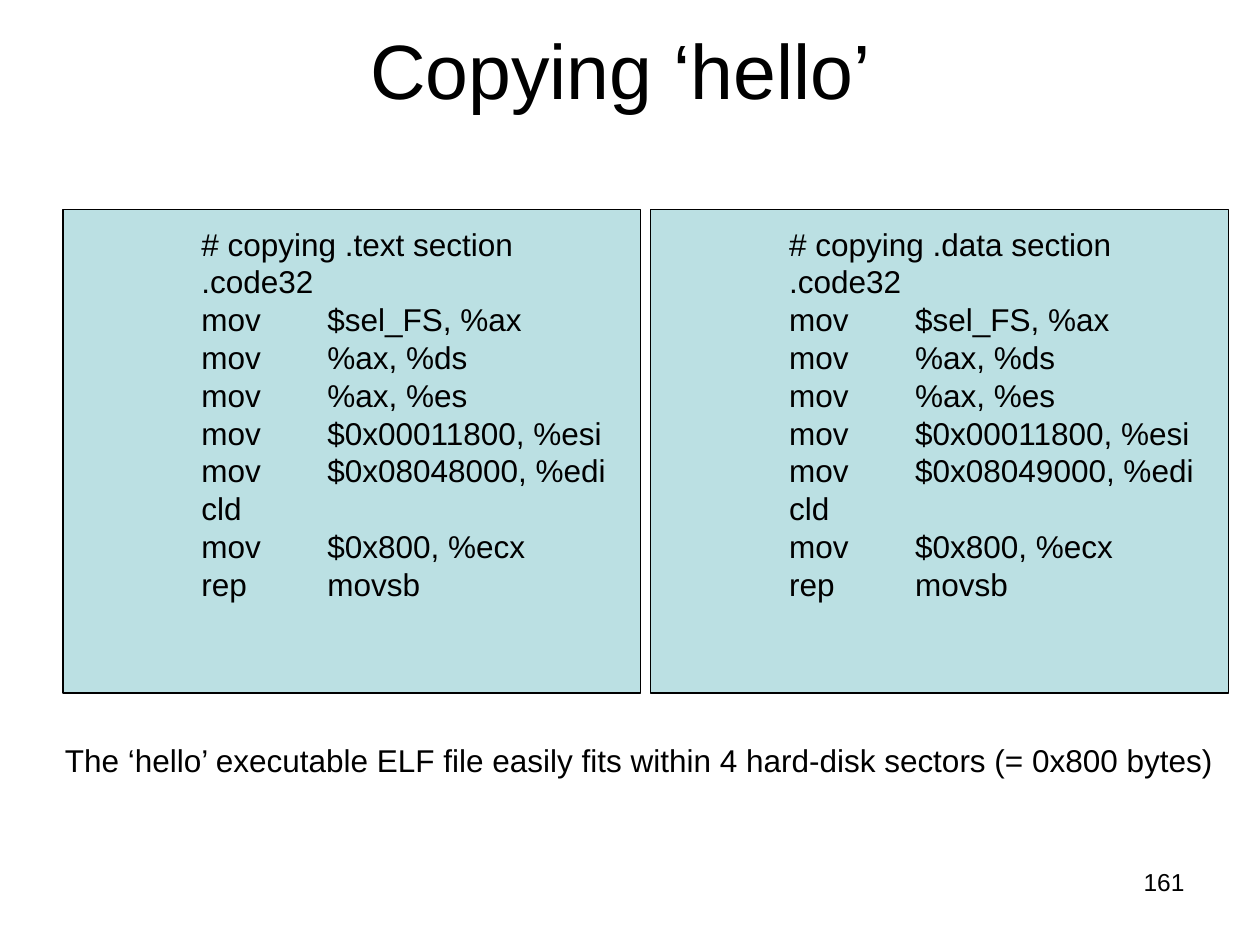
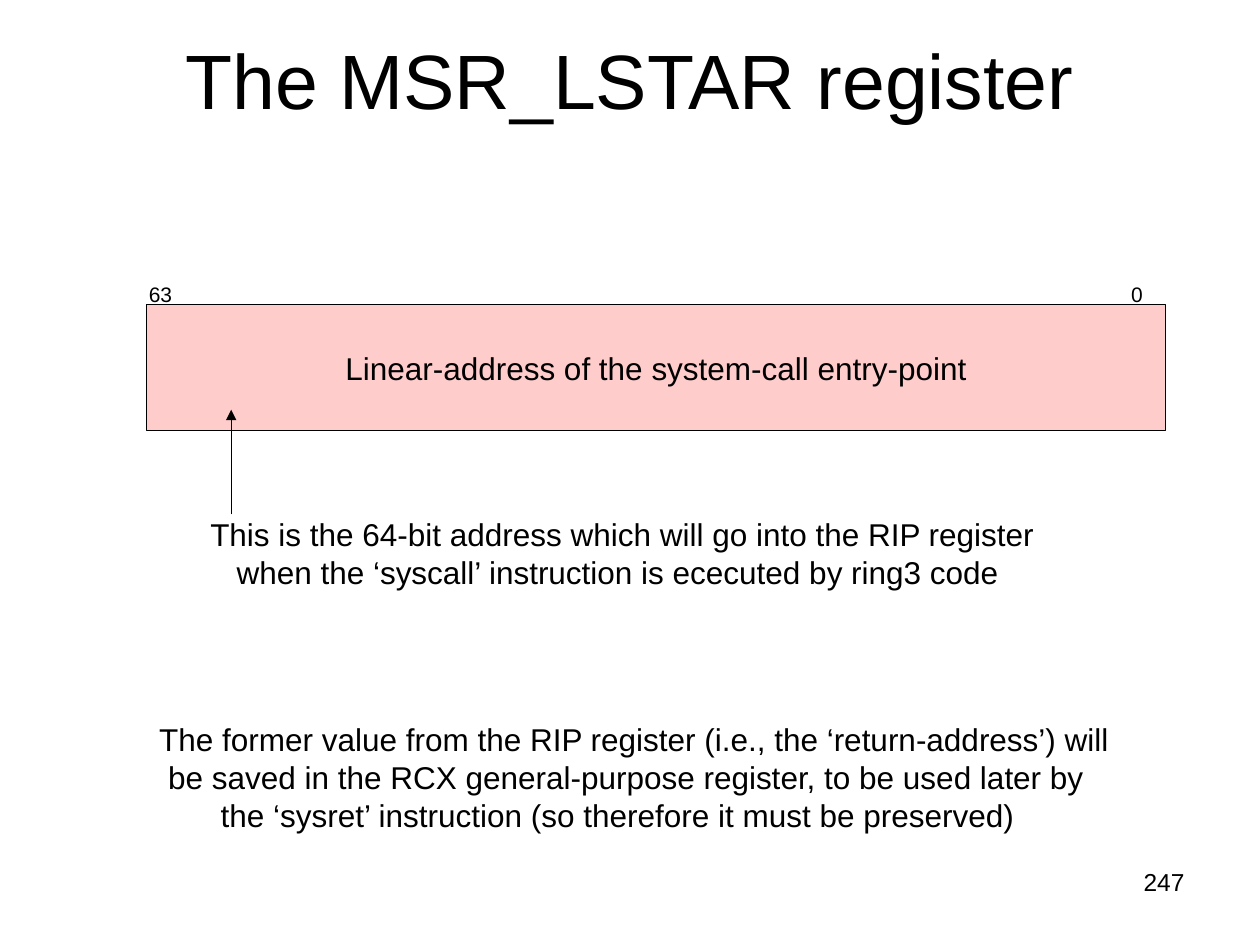
from dataclasses import dataclass
from typing import Any

from lxml.etree import SubElement
from pptx import Presentation
from pptx.dml.color import RGBColor
from pptx.enum.shapes import MSO_CONNECTOR, MSO_SHAPE
from pptx.enum.text import MSO_ANCHOR, PP_ALIGN
from pptx.oxml.ns import qn
from pptx.util import Cm, Pt

INK = "000000"
CODE_FILL = "BBE0E3"
REGISTER_FILL = "FFCCCC"
LINE_WIDTH = Pt(0.75)
CODE_FRAME = {"vertical_anchor": MSO_ANCHOR.TOP, "margin_left": Cm(2.79), "margin_top": Cm(0.3)}
CODE_LEFT, CODE_PITCH = 1.27, 11.85

CODE = """# copying .{section} section
.code32
mov\t$sel_FS, %ax
mov\t%ax, %ds
mov\t%ax, %es
mov\t$0x00011800, %esi
mov\t${target}, %edi
cld
mov\t$0x800, %ecx
rep\tmovsb"""


@dataclass(frozen=True)
class Box:
    """Position and size in centimetres."""
    left: float
    top: float
    width: float
    height: float

    def lengths(self) -> tuple:
        """Return the four values as lengths."""
        return Cm(self.left), Cm(self.top), Cm(self.width), Cm(self.height)


@dataclass(frozen=True)
class Style:
    """Size, alignment and tab stop of a text."""
    size: int = 18
    align: Any = PP_ALIGN.LEFT
    tab: float = 0
    tab_align: str = "l"


@dataclass(frozen=True)
class Caption:
    """Unwrapped lines, each with its own indent in centimetres."""
    box: Box
    lines: tuple
    indents: tuple


BODY = Style()
CENTRED = Style(align=PP_ALIGN.CENTER)
TITLE = Style(44, PP_ALIGN.CENTER)
NUMBER = Style(14, PP_ALIGN.RIGHT)
CODE_STYLE = Style(tab=2.54)
BITS = Style(12, tab=20.04, tab_align="r")

NUMBER_BOX = Box(18.2, 17.36, 5.93, 1.32)
REGISTER_BOX = Box(2.96, 6.14, 20.53, 2.54)
BITS_BOX = Box(2.75, 5.56, 20.85, 0.76)

SECTIONS = (("text", "0x08048000"), ("data", "0x08049000"))
SIZE_NOTE = Caption(
    Box(1.06, 14.82, 23.67, 1.02),
    ("The ‘hello’ executable ELF file easily fits within 4 hard-disk sectors (= 0x800 bytes)",),
    (0,))
REGISTER_NOTES = (
    Caption(
        Box(3.99, 10.26, 17.12, 1.78),
        ("This is the 64-bit address which will go into the RIP register",
         "when the ‘syscall’ instruction is ececuted by ring3 code"),
        (0, 0.53)),
    Caption(
        Box(2.96, 14.39, 19.66, 2.54),
        ("The former value from the RIP register (i.e., the ‘return-address’) will",
         "be saved in the RCX general-purpose register, to be used later by",
         "the ‘sysret’ instruction (so therefore it must be preserved)"),
        (0, 0.18, 1.24)),
)


def rgb(value: str) -> RGBColor:
    """Turn a hex string into a colour."""
    return RGBColor.from_string(value)


def apply(target: Any, values: dict) -> None:
    """Set every named attribute on the target."""
    for name, value in values.items():
        setattr(target, name, value)


def write(tf: Any, lines: tuple, style: Style, indents: tuple = ()) -> None:
    """Write one paragraph per line."""
    for i, line in enumerate(lines):
        p = tf.add_paragraph() if i else tf.paragraphs[0]
        p.alignment = style.align
        pPr = p._p.get_or_add_pPr()
        if indents:
            pPr.set("marL", str(Cm(indents[i])))
        if style.tab:
            tabs = SubElement(pPr, qn("a:tabLst"))
            SubElement(tabs, qn("a:tab"), pos=str(Cm(style.tab)), algn=style.tab_align)
        r = p.add_run()
        r.text = line
        apply(r.font, {"name": "Arial", "size": Pt(style.size)})
        r.font.color.rgb = rgb(INK)


def add_text(s: Any, box: Box, lines: tuple, style: Style, indents: tuple = (), **frame: Any) -> None:
    """Add a text box."""
    tf = s.shapes.add_textbox(*box.lengths()).text_frame
    apply(tf, {"word_wrap": True, **frame})
    write(tf, lines, style, indents)


def add_caption(s: Any, caption: Caption) -> None:
    """Add an unwrapped caption."""
    add_text(s, caption.box, caption.lines, BODY, caption.indents, word_wrap=False)


def add_panel(s: Any, box: Box, fill: str, lines: tuple, style: Style, **frame: Any) -> None:
    """Add an outlined rectangle with text."""
    sp = s.shapes.add_shape(MSO_SHAPE.RECTANGLE, *box.lengths())
    sp.shadow.inherit = False
    sp.fill.solid()
    sp.fill.fore_color.rgb = rgb(fill)
    sp.line.color.rgb = rgb(INK)
    sp.line.width = LINE_WIDTH
    apply(sp.text_frame, {"word_wrap": True, "vertical_anchor": MSO_ANCHOR.MIDDLE, **frame})
    write(sp.text_frame, lines, style)


def add_arrow(s: Any, x: float, start: float, end: float) -> None:
    """Add a vertical arrow pointing at its end."""
    cx = s.shapes.add_connector(MSO_CONNECTOR.STRAIGHT, Cm(x), Cm(start), Cm(x), Cm(end))
    cx.line.color.rgb = rgb(INK)
    cx.line.width = LINE_WIDTH
    SubElement(cx.line._get_or_add_ln(), qn("a:tailEnd"), type="triangle")
    SubElement(cx._element.spPr, qn("a:effectLst"))


def add_slide(prs: Any, title: str, title_top: float, number: int) -> Any:
    """Add a slide with its title and number."""
    s = prs.slides.add_slide(prs.slide_layouts[6])
    add_text(s, Box(1.27, title_top, 22.86, 3.18), (title,), TITLE, vertical_anchor=MSO_ANCHOR.MIDDLE)
    add_text(s, NUMBER_BOX, (str(number),), NUMBER)
    return s


def add_copying(prs: Any) -> None:
    """Build the slide with the two code listings."""
    s = add_slide(prs, "Copying ‘hello’ ", -0.21, 161)
    for i, (section, target) in enumerate(SECTIONS):
        lines = tuple(CODE.format(section=section, target=target).split("\n"))
        box = Box(CODE_LEFT + i * CODE_PITCH, 4.23, 11.64, 9.74)
        add_panel(s, box, CODE_FILL, lines, CODE_STYLE, **CODE_FRAME)
    add_caption(s, SIZE_NOTE)


def add_register(prs: Any) -> None:
    """Build the slide with the register diagram."""
    s = add_slide(prs, "The MSR_LSTAR register", 0, 247)
    add_panel(s, REGISTER_BOX, REGISTER_FILL, ("Linear-address of the system-call entry-point",), CENTRED)
    add_text(s, BITS_BOX, ("63\t0",), BITS)
    for note in REGISTER_NOTES:
        add_caption(s, note)
    add_arrow(s, 4.66, 10.37, 8.26)


def main() -> None:
    """Build and save the presentation."""
    prs = Presentation()
    apply(prs, {"slide_width": Cm(25.4), "slide_height": Cm(19.05)})
    add_copying(prs)
    add_register(prs)
    prs.save("out.pptx")


if __name__ == "__main__":
    main()
